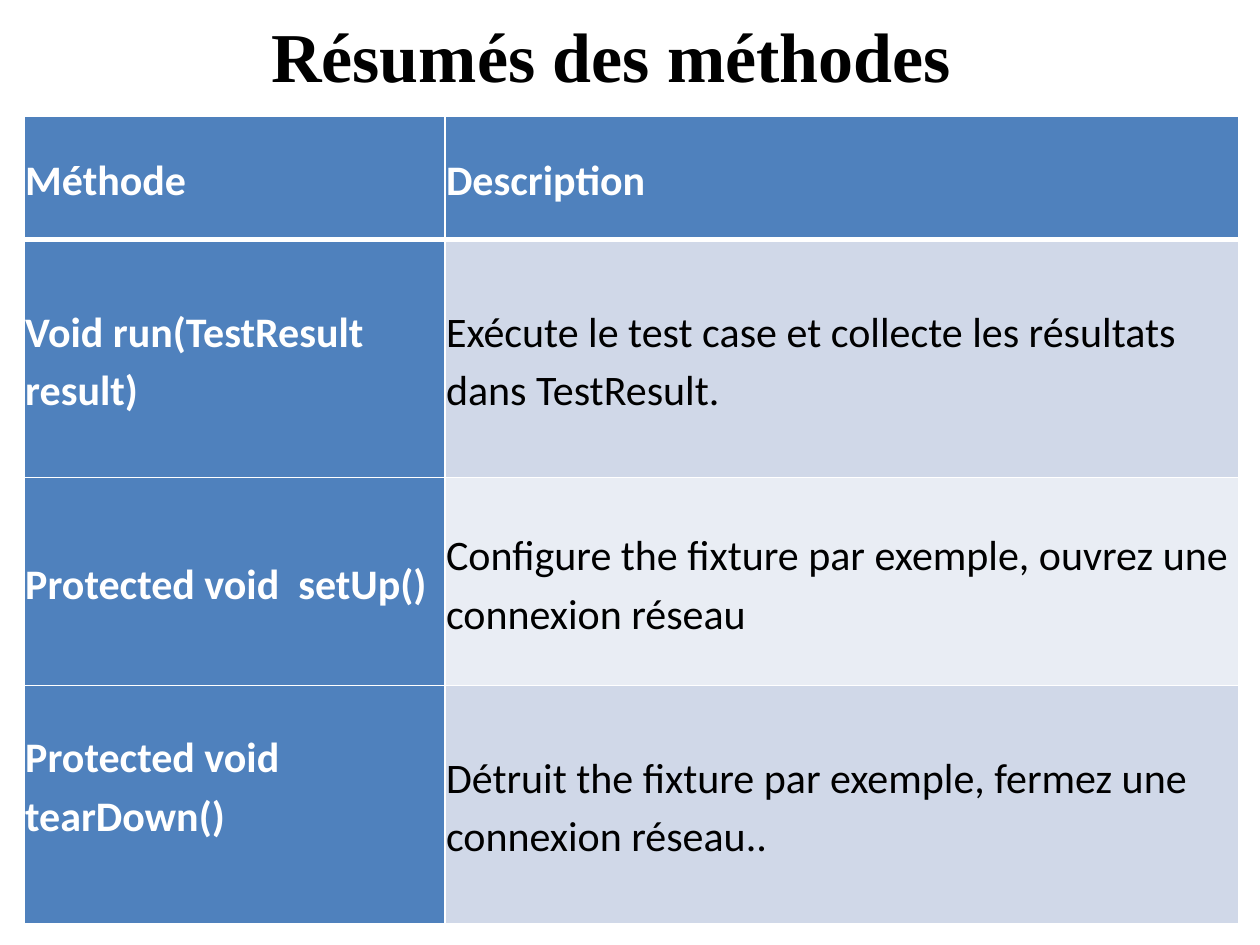
from lxml.etree import SubElement
from pptx import Presentation
from pptx.dml.color import RGBColor
from pptx.enum.text import MSO_ANCHOR, MSO_AUTO_SIZE, PP_ALIGN
from pptx.oxml.ns import qn
from pptx.util import Inches, Pt

WHITE = RGBColor(0xFF, 0xFF, 0xFF)
BLACK = RGBColor(0, 0, 0)
BLUE = RGBColor(0x4F, 0x81, 0xBD)
BANDS = [RGBColor(0xD0, 0xD8, 0xE8), RGBColor(0xE9, 0xED, 0xF4)]

COLUMN_WIDTHS = [3.34, 6.3]
ROW_HEIGHTS = [0.98, 1.89, 1.65, 1.89]
METHODS = [
    ("Méthode", "Description"),
    ("Void run(TestResult result)",
     "Exécute le test case et collecte les résultats dans TestResult."),
    ("Protected void  setUp()",
     "Configure the fixture par exemple, ouvrez une connexion réseau"),
    ("Protected void  tearDown()",
     "Détruit the fixture par exemple, fermez une connexion réseau.."),
]


def format_font(font, name, size, color, bold):
    font.name = name
    font.size = Pt(size)
    font.color.rgb = color
    font.bold = bold


def add_title(slide, text):
    title = slide.shapes.title
    title.left, title.top = Inches(0.42), Inches(0.05)
    title.width, title.height = Inches(9), Inches(0.77)
    frame = title.text_frame
    frame.text = text
    frame.word_wrap = True
    frame.auto_size = MSO_AUTO_SIZE.SHAPE_TO_FIT_TEXT
    frame.vertical_anchor = MSO_ANCHOR.MIDDLE
    para = frame.paragraphs[0]
    para.alignment = PP_ALIGN.CENTER
    format_font(para.runs[0].font, "Times New Roman", 40, BLACK, True)


def add_border(cell, side, points):
    line = SubElement(cell._tc.get_or_add_tcPr(), qn(f"a:{side}"), w=str(Pt(points)))
    fill = SubElement(line, qn("a:solidFill"))
    SubElement(fill, qn("a:srgbClr"), val=str(WHITE))


def fill_cell(cell, text, fill, color, bold, bottom_border):
    cell.margin_left = cell.margin_right = Inches(0.01)
    cell.margin_top = cell.margin_bottom = Inches(0.01)
    cell.vertical_anchor = MSO_ANCHOR.MIDDLE
    # Borders must come before the fill in the cell properties.
    for side in ("lnL", "lnR", "lnT"):
        add_border(cell, side, 1)
    add_border(cell, "lnB", bottom_border)
    cell.fill.solid()
    cell.fill.fore_color.rgb = fill
    cell.text_frame.text = text
    para = cell.text_frame.paragraphs[0]
    para.line_spacing = 1.15
    format_font(para.runs[0].font, "Calibri", 24, color, bold)


def add_method_table(slide):
    table = slide.shapes.add_table(
        len(METHODS), len(COLUMN_WIDTHS), Inches(0.19), Inches(0.92),
        Inches(sum(COLUMN_WIDTHS)), Inches(sum(ROW_HEIGHTS))).table
    table.first_col = True
    for column, width in zip(table.columns, COLUMN_WIDTHS):
        column.width = Inches(width)
    for row_index, (height, texts) in enumerate(zip(ROW_HEIGHTS, METHODS)):
        table.rows[row_index].height = Inches(height)
        for column_index, text in enumerate(texts):
            heading = row_index == 0 or column_index == 0
            fill_cell(
                table.cell(row_index, column_index), text,
                fill=BLUE if heading else BANDS[(row_index - 1) % 2],
                color=WHITE if heading else BLACK,
                bold=heading,
                bottom_border=3 if row_index == 0 else 1)
    # The last method name sits a little above the middle of its row.
    table.cell(len(METHODS) - 1, 0).margin_bottom = Inches(0.33)


def main():
    deck = Presentation()
    deck.slide_width, deck.slide_height = Inches(10), Inches(7.5)
    slide = deck.slides.add_slide(deck.slide_layouts[5])
    add_title(slide, "Résumés des méthodes ")
    add_method_table(slide)
    deck.save("out.pptx")


if __name__ == "__main__":
    main()
